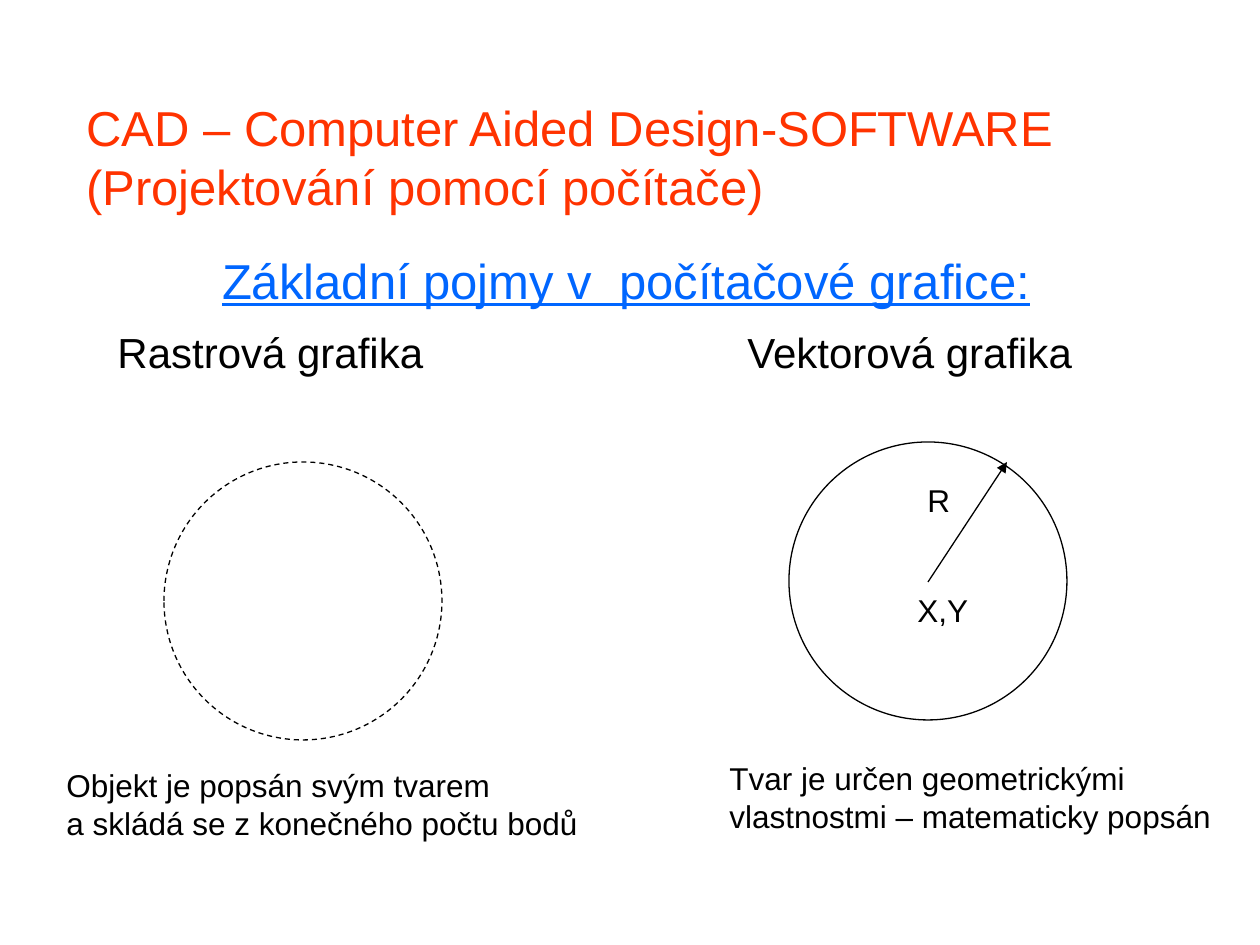
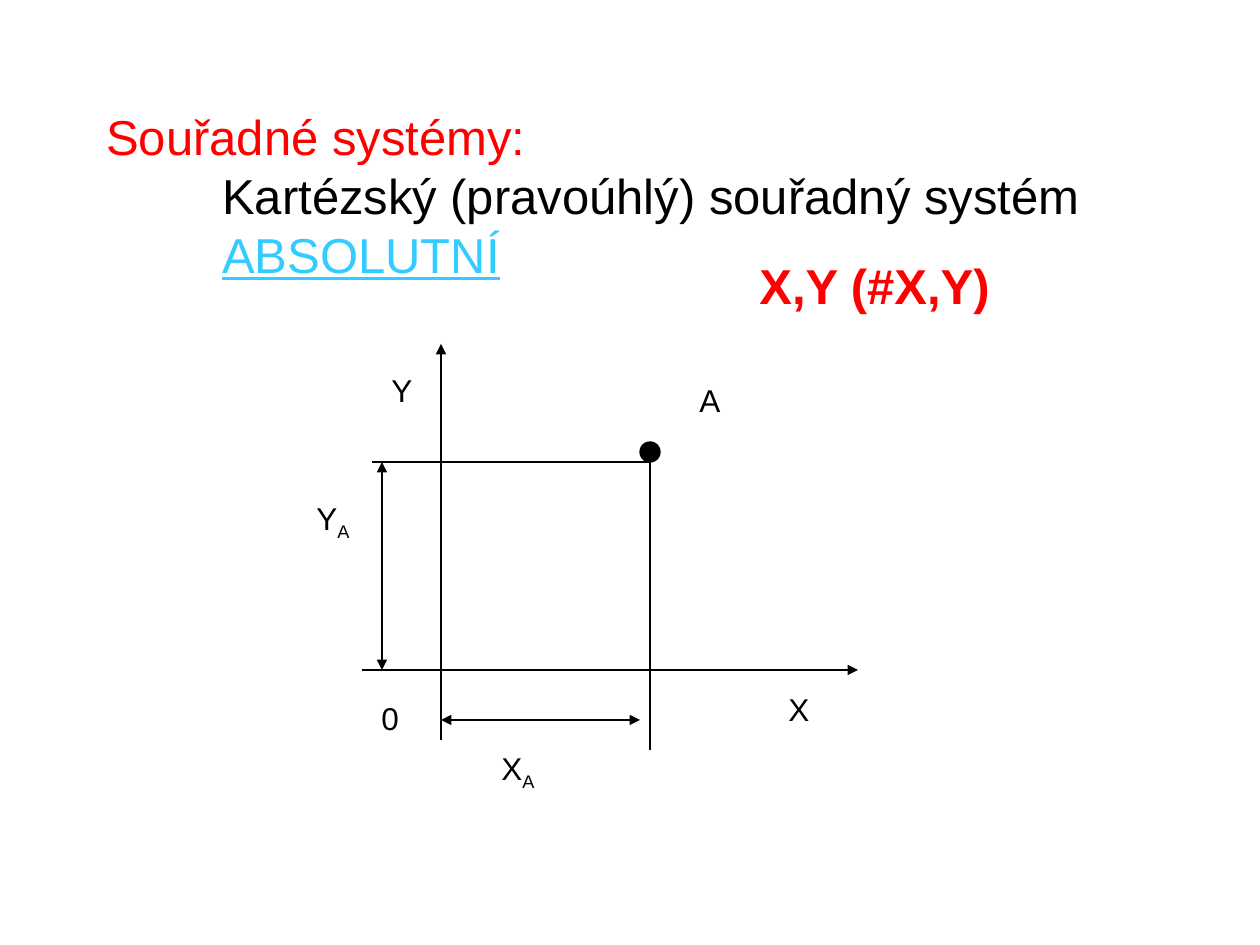
"""Build two slides on raster and vector graphics and the absolute coordinate system."""
from lxml.etree import SubElement
from pptx import Presentation
from pptx.dml.color import RGBColor
from pptx.enum.dml import MSO_LINE
from pptx.enum.shapes import MSO_CONNECTOR, MSO_SHAPE
from pptx.enum.text import MSO_ANCHOR, PP_ALIGN
from pptx.oxml.ns import qn
from pptx.util import Pt

PX = 914400 / 126
HUES = {name: RGBColor.from_string(code) for name, code in {
    "ink": "000000", "orange": "FF3300", "blue": "0066FF",
    "red": "FF0000", "sky": "33CCFF"}.items()}


def write(slide, rect, text, size=18, hue="ink", wrap=False):
    """Add a text box and return its text frame."""
    frame = slide.shapes.add_textbox(*[round(n * PX) for n in rect]).text_frame
    frame.word_wrap = wrap
    frame.text = text
    for para in frame.paragraphs:
        for run in para.runs:
            run.font.name = "Arial"
            run.font.size = Pt(size)
            run.font.color.rgb = HUES[hue]
    return frame


def link(slide, ends, tips=()):
    """Add a thin line with arrowheads at the named tips."""
    line = slide.shapes.add_connector(
        MSO_CONNECTOR.STRAIGHT, *[round(n * PX) for n in ends])
    line.line.color.rgb = HUES["ink"]
    line.line.width = Pt(0.75)
    for tip in tips:
        SubElement(line.line._get_or_add_ln(), qn(f"a:{tip}"), type="triangle")
    SubElement(line._element.spPr, qn("a:effectLst"))


deck = Presentation()
deck.slide_width = round(1260 * PX)
deck.slide_height = round(945 * PX)
blank = deck.slide_layouts[6]
kinds = deck.slides.add_slide(blank)
plane = deck.slides.add_slide(blank)

title = write(kinds, (74, 55, 1071, 203),
              "CAD – Computer Aided Design-SOFTWARE\v(Projektování pomocí počítače)",
              28, "orange", True)
title.vertical_anchor = MSO_ANCHOR.MIDDLE

terms = write(kinds, (105, 244, 1042, 149),
              "Základní pojmy v  počítačové grafice:\nRastrová grafika\tVektorová grafika",
              24, "ink", True)
head, pair = terms.paragraphs
head.alignment = PP_ALIGN.CENTER
font = head.runs[0].font
font.size = Pt(28)
font.underline = True
font.color.rgb = HUES["blue"]
pair.space_before = Pt(10)
tabs = SubElement(pair._p.get_or_add_pPr(), qn("a:tabLst"))
SubElement(tabs, qn("a:tab"), pos=str(round(630 * PX)), algn="l")

for slide, left, top, size, dash, fill in (
        (kinds, 164, 462, 278, MSO_LINE.DASH, False),
        (kinds, 789, 442, 278, None, False),
        (plane, 640, 442, 20, None, True)):
    ring = slide.shapes.add_shape(
        MSO_SHAPE.OVAL, *[round(n * PX) for n in (left, top, size, size)])
    ring.shadow.inherit = False
    if fill:
        ring.fill.solid()
        ring.fill.fore_color.rgb = HUES["ink"]
    else:
        ring.fill.background()
    ring.line.color.rgb = HUES["ink"]
    ring.line.width = Pt(0.75)
    if dash:
        ring.line.dash_style = dash

link(kinds, (928, 582, 1007, 462), ["tailEnd"])

for rect, text in (
        ((905, 585, 76, 50), "X,Y"),
        ((915, 475, 48, 50), "R"),
        ((54, 760, 537, 88), "Objekt je popsán svým tvarem\na skládá se z konečného počtu bodů"),
        ((717, 753, 507, 88), "Tvar je určen geometrickými\nvlastnostmi – matematicky popsán")):
    write(kinds, rect, text)

title = write(plane, (94, 76, 1071, 238),
              "Souřadné systémy:\vKartézský (pravoúhlý) souřadný systém\vABSOLUTNÍ",
              28, "red", True)
title.vertical_anchor = MSO_ANCHOR.MIDDLE
para = title.paragraphs[0]
props = para._p.get_or_add_pPr()
props.set("marL", str(round(116 * PX)))
props.set("indent", str(round(-116 * PX)))
para.runs[1].font.color.rgb = HUES["ink"]
para.runs[2].font.color.rgb = HUES["sky"]
para.runs[2].font.underline = True

zero_x, zero_y = 441, 670
dot_x, dot_y = 650, 462
for ends, tips in (
        ((zero_x, zero_y, zero_x, 344), ["tailEnd"]),
        ((zero_x, zero_y, 858, zero_y), ["tailEnd"]),
        ((dot_x, 452, dot_x, 750), []),
        ((dot_x, dot_y, 372, dot_y), []),
        ((zero_x, zero_y, 362, zero_y), []),
        ((zero_x, zero_y, zero_x, 740), []),
        ((zero_x, 720, 640, 720), ["headEnd", "tailEnd"]),
        ((382, dot_y, 382, zero_y), ["headEnd", "tailEnd"])):
    link(plane, ends, tips)

for left, top, text in ((776, 684, "X"), (379, 365, "Y"),
                        (687, 375, "A"), (369, 693, "0")):
    write(plane, (left, top, 45, 50), text)

for left, top, text in ((489, 743, "X"), (304, 493, "Y")):
    para = write(plane, (left, top, 58, 55), text).paragraphs[0]
    run = para.add_run()
    run.text = "A"
    run.font.name = "Arial"
    run.font.size = Pt(18)
    run.font.color.rgb = HUES["ink"]
    run.font._element.set("baseline", "-25000")

form = write(plane, (747, 249, 256, 72), "X,Y (#X,Y)", 28, "red")
form.paragraphs[0].runs[0].font.bold = True

deck.save("out.pptx")
